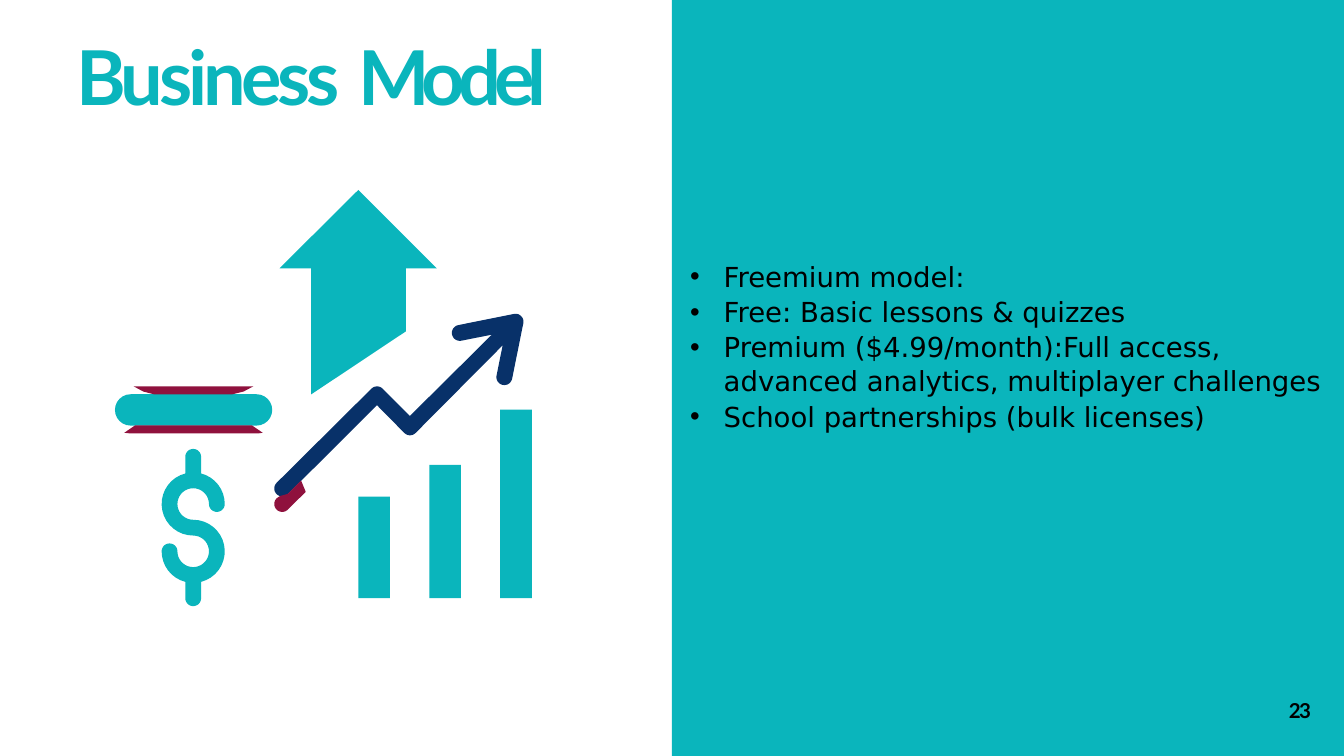
from dataclasses import dataclass
from math import cos, radians, sin

from lxml import etree
from pptx import Presentation
from pptx.dml.color import RGBColor
from pptx.enum.shapes import MSO_SHAPE
from pptx.enum.text import MSO_ANCHOR, MSO_AUTO_SIZE, PP_ALIGN
from pptx.oxml.ns import qn
from pptx.util import Pt

RECTANGLE = MSO_SHAPE.RECTANGLE
ROUNDED = MSO_SHAPE.ROUNDED_RECTANGLE
TOP = MSO_ANCHOR.TOP
LEFT = PP_ALIGN.LEFT
NO_AUTOSIZE = MSO_AUTO_SIZE.NONE
UNITS_PER_POINT = 100


@dataclass(frozen=True)
class Theme:
    teal = RGBColor(0x0A, 0xB5, 0xBC)
    navy = RGBColor(0x08, 0x31, 0x69)
    crimson = RGBColor(0x8F, 0x11, 0x3D)
    black = RGBColor(0, 0, 0)
    heading_font = "Lato"
    body_font = "DejaVu Sans"
    title_size = 81
    body_size = 29.5
    number_size = 22


def arc(x, y, radius, start, end):
    """Points on a circle; angles in degrees, clockwise from the right."""
    steps = max(2, round(abs(end - start) / 10))
    angles = [radians(start + (end - start) * i / steps) for i in range(steps + 1)]
    return [(x + radius * cos(a), y + radius * sin(a)) for a in angles]


def dollar_outline(x, upper, lower, top, bottom):
    """Outline of a dollar sign with rings centred at upper and lower."""
    outer, inner, cap = 33.8, 16.9, 8.45
    middle = (outer + inner) / 2
    return (
        arc(x, bottom - cap, cap, 0, 180)
        + arc(x, lower, outer, 104.5, 180)
        + arc(x - middle, lower, cap, 180, 360)
        + arc(x, lower, inner, 180, -90)
        + arc(x, upper, outer, 90, 255.5)
        + arc(x, top + cap, cap, 180, 360)
        + arc(x, upper, outer, 284.5, 360)
        + arc(x + middle, upper, cap, 0, 180)
        + arc(x, upper, inner, 0, -270)
        + arc(x, lower, outer, -90, 75.5)
    )


def trend_outline():
    """Outline of the rounded zigzag arrow, clockwise from its tail."""
    cap = 8.5
    return (
        arc(302.4, 523.4, cap, 45, 225)
        + arc(404, 422.5, cap, 225, 315)
        + [(439.2, 445.7), (527, 358.6)]
        + arc(492.7, 356.7, cap, 80, 260)
        + arc(552.4, 344.7, cap, 260, 370)
        + arc(540.4, 404.1, cap, 10, 190)
        + [(538.6, 370)]
        + arc(439.3, 457.9, cap, 45, 135)
        + [(404, 434.2)]
    )


class SlideBuilder:
    def __init__(self, slide, theme):
        self.slide = slide
        self.theme = theme

    def paint(self, shape, color):
        shape.fill.solid()
        shape.fill.fore_color.rgb = color
        shape.line.fill.background()
        shape.shadow.inherit = False

    def block(self, kind, left, top, width, height, color):
        shape = self.slide.shapes.add_shape(
            kind, Pt(left), Pt(top), Pt(width), Pt(height))
        self.paint(shape, color)
        return shape

    def outline(self, points, color):
        units = [(x * UNITS_PER_POINT, y * UNITS_PER_POINT) for x, y in points]
        builder = self.slide.shapes.build_freeform(
            *units[0], scale=Pt(1) / UNITS_PER_POINT)
        builder.add_line_segments(units[1:], close=True)
        self.paint(builder.convert_to_shape(), color)

    def frame(self, shape, left, top, width, height, inset, wrap=True):
        """Place a text shape in front of all others and return its frame."""
        self.slide.shapes._spTree.append(shape._element)
        shape.left, shape.top = Pt(left), Pt(top)
        shape.width, shape.height = Pt(width), Pt(height)
        frame = shape.text_frame
        frame.margin_left = frame.margin_right = frame.margin_bottom = 0
        frame.margin_top = Pt(inset)
        frame.word_wrap = wrap
        frame.auto_size = NO_AUTOSIZE
        frame.vertical_anchor = TOP
        return frame

    def style(self, paragraph, name, size, color, bold=False, before=0):
        paragraph.alignment = LEFT
        paragraph.space_before = Pt(before)
        font = paragraph.font
        font.name, font.size, font.bold = name, Pt(size), bold
        font.color.rgb = color

    def spaced_run(self, paragraph, text, spacing):
        run = paragraph.add_run()
        run.text = text
        run._r.get_or_add_rPr().set("spc", str(round(spacing * 100)))

    def title(self, runs):
        frame = self.frame(self.slide.shapes.title, 81.5, -1.4, 726, 341, 33.8)
        paragraph = frame.paragraphs[0]
        self.style(paragraph, self.theme.heading_font, self.theme.title_size,
                   self.theme.teal, bold=True)
        for text, spacing in runs:
            self.spaced_run(paragraph, text, spacing)

    def bullets(self, items):
        frame = self.frame(self.slide.placeholders[1], 728.6, 275.8, 700, 183, 1.4)
        for index, (level, text) in enumerate(items):
            paragraph = frame.add_paragraph() if index else frame.paragraphs[0]
            paragraph.text = text
            paragraph.level = level
            properties = paragraph._p.get_or_add_pPr()
            properties.set("marL", str(Pt(46.8)))
            properties.set("indent", str(-Pt(36)))
            etree.SubElement(properties, qn("a:buChar")).set("char", "•")
            paragraph.line_spacing = 1.03
            self.style(paragraph, self.theme.body_font, self.theme.body_size,
                       self.theme.black, before=1.4 if index else 0)

    def page_number(self, text):
        box = self.slide.shapes.add_textbox(0, 0, 0, 0)
        frame = self.frame(box, 1381, 746.6, 26, 28, 1, wrap=False)
        paragraph = frame.paragraphs[0]
        self.style(paragraph, self.theme.heading_font, self.theme.number_size,
                   self.theme.black, bold=True)
        self.spaced_run(paragraph, text, -1.9)


def main():
    presentation = Presentation()
    presentation.slide_width, presentation.slide_height = Pt(1440), Pt(810)
    slide = presentation.slides.add_slide(presentation.slide_layouts[1])
    theme = Theme()
    builder = SlideBuilder(slide, theme)

    builder.block(RECTANGLE, 720, 0, 720, 810, theme.teal)

    coin = builder.block(ROUNDED, 123.2, 422.4, 168.5, 33.6, theme.teal)
    coin.adjustments[0] = 0.5
    builder.outline(dollar_outline(207, 540, 590.7, 481, 649.4), theme.teal)

    baseline = 641
    for index, height in enumerate((109, 143, 202)):
        builder.block(RECTANGLE, 384 + 76 * index, baseline - height,
                      33.8, height, theme.teal)

    builder.outline([(333.5, 422.5), (333.5, 287.5), (299.5, 287.5), (384, 203.5),
                     (468, 287.5), (435, 287.5), (435, 355)], theme.teal)
    builder.outline(trend_outline(), theme.navy)

    builder.outline([(249, 422.5), (165, 422.5), (153.5, 419.5), (143.3, 414),
                     (271.4, 414), (261, 419.5)], theme.crimson)
    builder.outline([(276.5, 464.4), (139.7, 464.4), (133.2, 463.7), (144.7, 455.8),
                     (270, 455.8), (281.5, 463.7)], theme.crimson)
    builder.outline(arc(302.4, 540, 8.5, 45, 225)
                    + [(300, 531.5), (308.2, 529.2), (322.6, 514.8), (327.6, 527)],
                    theme.crimson)

    builder.title([("Business", -4.5), (" ", -2), ("Model", -7.4)])
    builder.page_number("23")
    builder.bullets([
        (0, "Freemium model:"),
        (1, "Free: Basic lessons & quizzes"),
        (1, "Premium ($4.99/month):Full access, advanced analytics, "
            "multiplayer challenges"),
        (0, "School partnerships (bulk licenses)"),
    ])
    presentation.save("out.pptx")


if __name__ == "__main__":
    main()
